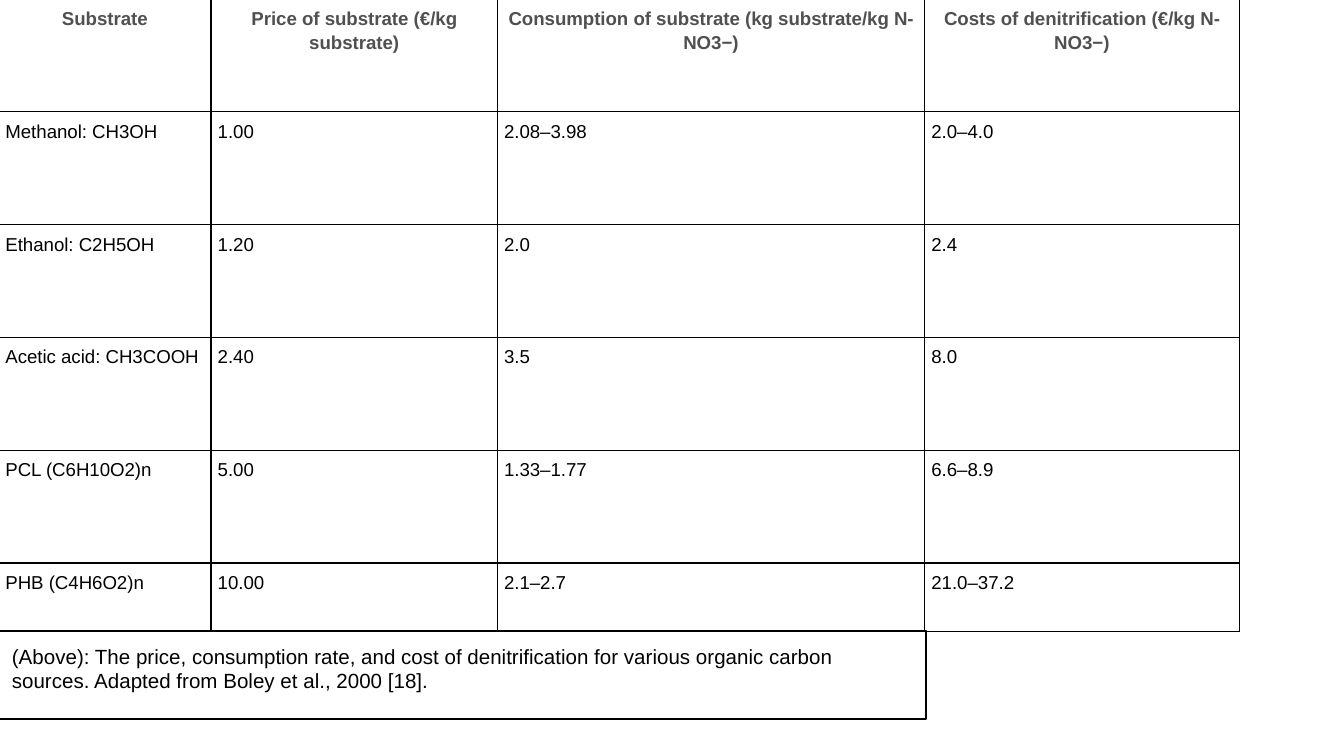
"""Builds a slide comparing the denitrification costs of organic carbon sources."""
from dataclasses import astuple, dataclass

import lxml.etree
import pptx
import pptx.dml.color
import pptx.enum.shapes
import pptx.enum.text
import pptx.oxml.ns
import pptx.slide
import pptx.table
import pptx.text.text
import pptx.util

BLACK = pptx.dml.color.RGBColor(0x00, 0x00, 0x00)
HEADER_GREY = pptx.dml.color.RGBColor(0x50, 0x50, 0x50)
FONT = "Arial"
LINE_WIDTH = pptx.util.Pt(0.75)
SLIDE_WIDTH = 10
SLIDE_HEIGHT = SLIDE_WIDTH * 9 / 16
EDGE = -0.01
COLUMNS = (1.58, 2.13, 3.18, 2.34)
ROWS = (0.84,) * 5 + (0.51,)
CAPTION_TOP, CAPTION_WIDTH, CAPTION_HEIGHT = 4.69, 6.9, 0.66


@dataclass
class Substrate:
    name: str
    price: str
    consumption: str
    cost: str


HEADER = Substrate(
    "Substrate",
    "Price of substrate (€/kg substrate)",
    "Consumption of substrate (kg substrate/kg N-NO3−)",
    "Costs of denitrification (€/kg N-NO3−)",
)
SUBSTRATES = (
    Substrate("Methanol: CH3OH", "1.00", "2.08–3.98", "2.0–4.0"),
    Substrate("Ethanol: C2H5OH", "1.20", "2.0", "2.4"),
    Substrate("Acetic acid: CH3COOH", "2.40", "3.5", "8.0"),
    Substrate("PCL (C6H10O2)n", "5.00", "1.33–1.77", "6.6–8.9"),
    Substrate("PHB (C4H6O2)n", "10.00", "2.1–2.7", "21.0–37.2"),
)
CAPTION = (
    "(Above): The price, consumption rate, and cost of denitrification for "
    "various organic carbon sources. Adapted from Boley et al., 2000 [18]."
)


def add_span(para: pptx.text.text._Paragraph, text: str, size: float,
             color: pptx.dml.color.RGBColor, bold: bool = False) -> None:
    span = para.add_run()
    span.text = text
    span.font.name = FONT
    span.font.size = pptx.util.Pt(size)
    span.font.bold = bold
    span.font.color.rgb = color


def add_borders(cell: pptx.table._Cell) -> None:
    properties = cell._tc.get_or_add_tcPr()
    qn = pptx.oxml.ns.qn
    for position, side in enumerate(("a:lnL", "a:lnR", "a:lnT", "a:lnB")):
        border = lxml.etree.Element(qn(side), w=str(int(LINE_WIDTH)))
        fill = lxml.etree.SubElement(border, qn("a:solidFill"))
        lxml.etree.SubElement(fill, qn("a:srgbClr"), val=str(BLACK))
        properties.insert(position, border)


def fill_cell(cell: pptx.table._Cell, text: str, is_header: bool) -> None:
    inset = pptx.util.Inches(0.05)
    cell.margin_left = cell.margin_right = inset
    cell.margin_top = cell.margin_bottom = inset
    cell.fill.background()
    add_borders(cell)
    para = cell.text_frame.paragraphs[0]
    para.line_spacing = 1.15
    align = pptx.enum.text.PP_ALIGN
    para.alignment = align.CENTER if is_header else align.LEFT
    add_span(para, text, 10, HEADER_GREY if is_header else BLACK, is_header)


def add_cost_table(page: pptx.slide.Slide) -> None:
    inches = pptx.util.Inches
    frame = page.shapes.add_table(
        len(ROWS), len(COLUMNS), inches(EDGE), inches(EDGE),
        inches(sum(COLUMNS)), inches(sum(ROWS)))
    table = frame.table
    table.first_row = table.horz_banding = False
    for column, width in zip(table.columns, COLUMNS):
        column.width = inches(width)
    for row, height in zip(table.rows, ROWS):
        row.height = inches(height)
    for row, substrate in enumerate((HEADER, *SUBSTRATES)):
        for column, text in enumerate(astuple(substrate)):
            fill_cell(table.cell(row, column), text, row == 0)


def add_caption(page: pptx.slide.Slide) -> None:
    inches = pptx.util.Inches
    box = page.shapes.add_shape(
        pptx.enum.shapes.MSO_SHAPE.RECTANGLE, inches(EDGE),
        inches(CAPTION_TOP), inches(CAPTION_WIDTH), inches(CAPTION_HEIGHT))
    box.shadow.inherit = False
    box.fill.background()
    box.line.color.rgb = BLACK
    box.line.width = LINE_WIDTH
    frame = box.text_frame
    frame.word_wrap = True
    frame.vertical_anchor = pptx.enum.text.MSO_ANCHOR.TOP
    frame.margin_left = frame.margin_right = inches(0.1)
    frame.margin_top = frame.margin_bottom = inches(0.1)
    para = frame.paragraphs[0]
    para.alignment = pptx.enum.text.PP_ALIGN.LEFT
    add_span(para, CAPTION, 11, BLACK)


def main() -> None:
    deck = pptx.Presentation()
    deck.slide_width = pptx.util.Inches(SLIDE_WIDTH)
    deck.slide_height = pptx.util.Inches(SLIDE_HEIGHT)
    page = deck.slides.add_slide(deck.slide_layouts.get_by_name("Blank"))
    add_cost_table(page)
    add_caption(page)
    deck.save("out.pptx")


if __name__ == "__main__":
    main()
